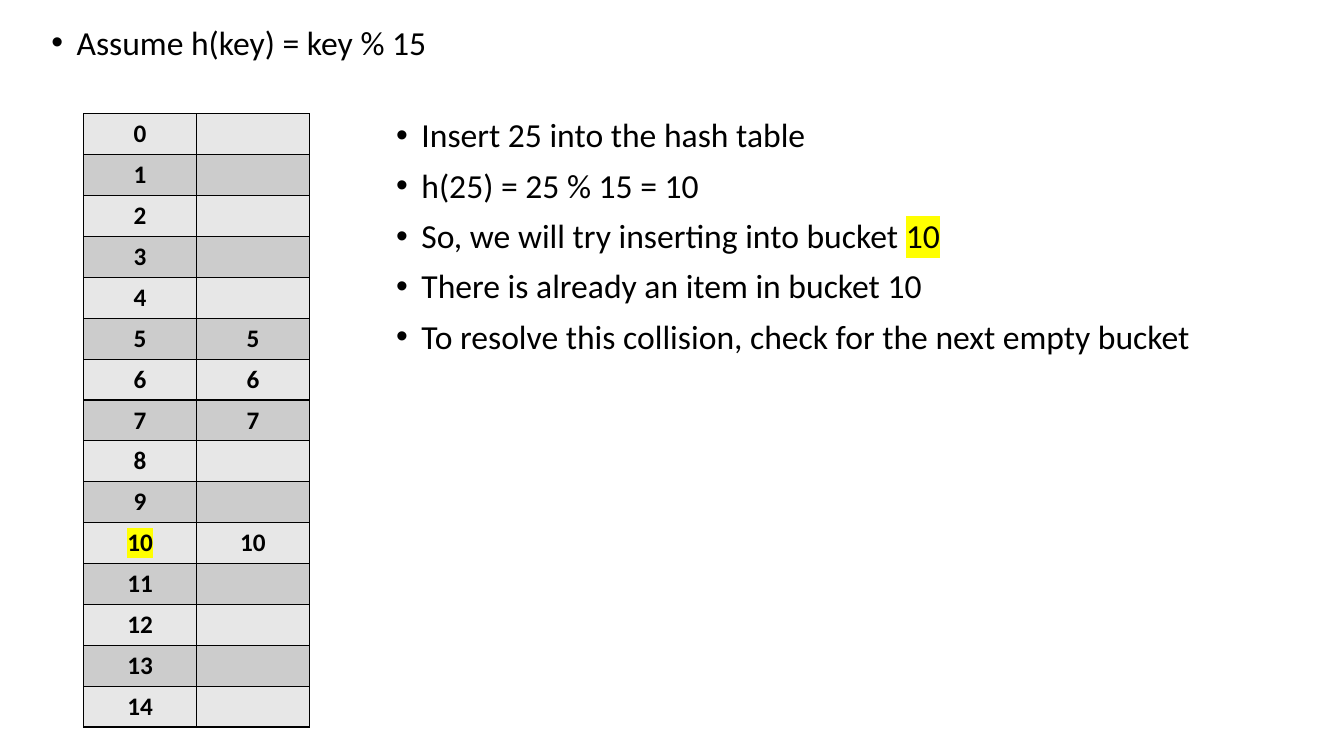
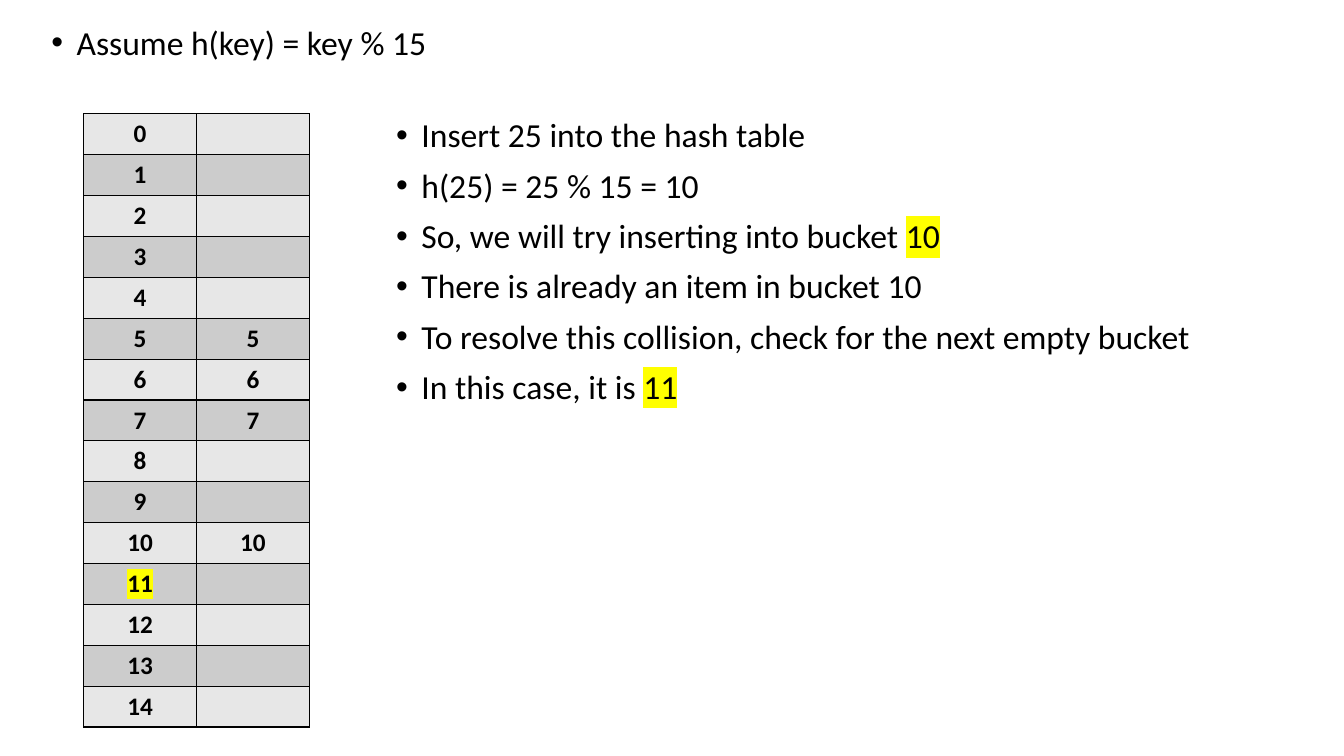
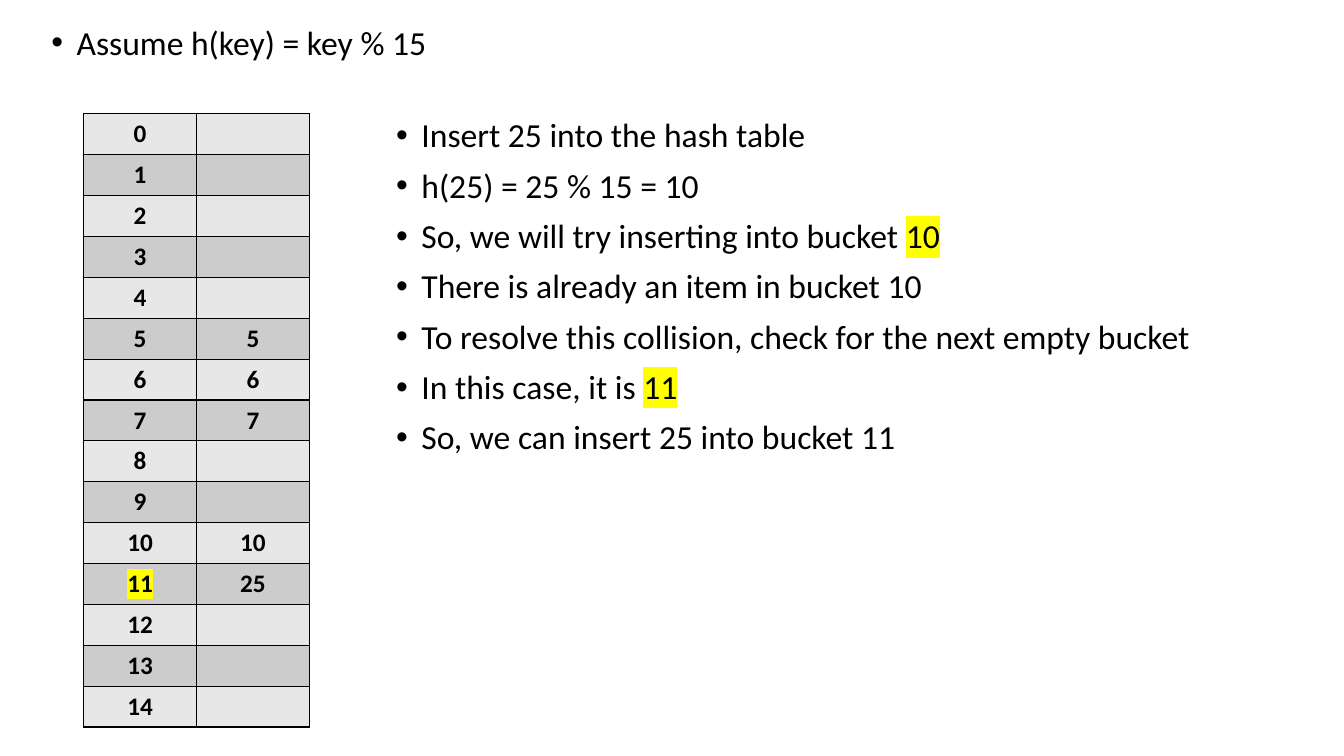
from lxml import etree
from pptx import Presentation, util as u
from pptx.dml.color import RGBColor
from pptx.enum import text
from pptx.oxml import ns

FONT, INK, MARK = "Calibri", "000000", "FFFF00"
BANDS = ("E7E7E7", "CCCCCC")
BUCKETS = 15
ASSUMPTION_BOX = (0.41, 0.21, 11.5, 0.76)
TABLE_BOX = (0.83, 1.13, 2.24, 6)
STEPS_BOX = (3.83, 1.13, 8.31, 5.32)

ASSUMPTION = [[("Assume h(key) = key % 15", False)]]
STEPS = [
    [("Insert 25 into the hash table", False)],
    [("h(25) = 25 % 15 = 10", False)],
    [("So, we will try inserting into bucket ", False), ("10", True)],
    [("There is already an item in bucket 10", False)],
    [("To resolve this collision, check for the next empty bucket", False)],
    [("In this case, it is ", False), ("11", True)],
    [("So, we can insert 25 into bucket 11", False)],
]
STORED = {5: 5, 6: 6, 7: 7, 10: 10}
STAGES = [(5, 10, STORED), (6, 11, STORED), (7, 11, {**STORED, 11: 25})]


def paint(color_format, value):
    """Set a colour format to a hex colour."""
    color_format.rgb = RGBColor.from_string(value)


def add_node(parent, tag, **attributes):
    """Append a drawing element to a parent and return it."""
    return etree.SubElement(parent, ns.qn(tag), attributes)


def inches(box):
    """Turn a box in inches into lengths."""
    return [u.Inches(side) for side in box]


def add_words(paragraph, words, size, bold=False, marked=False):
    """Add one run, highlighted when marked."""
    run = paragraph.add_run()
    run.text = words
    run.font.size, run.font.bold = u.Pt(size), bold
    paint(run.font.fill.solid() or run.font.color, INK)
    run.font.name = FONT
    if marked:
        properties = run.font._element
        highlight = add_node(properties, "a:highlight")
        add_node(highlight, "a:srgbClr", val=MARK)
        properties.find(ns.qn("a:latin")).addprevious(highlight)


def fill_list(placeholder, box, items):
    """Move a body placeholder to a box and write its bulleted items."""
    placeholder.left, placeholder.top, placeholder.width, placeholder.height = inches(box)
    frame = placeholder.text_frame
    frame.auto_size = text.MSO_AUTO_SIZE.NONE
    frame.vertical_anchor = text.MSO_ANCHOR.TOP
    for number, item in enumerate(items):
        paragraph = frame.add_paragraph() if number else frame.paragraphs[0]
        paragraph.line_spacing, paragraph.space_before = 0.9, u.Pt(10)
        properties = paragraph._p.get_or_add_pPr()
        properties.set("marL", str(u.Inches(0.25)))
        properties.set("indent", str(-u.Inches(0.25)))
        add_node(properties, "a:buFont", typeface="Arial")
        add_node(properties, "a:buChar", char="•")
        for words, marked in item:
            add_words(paragraph, words, 24, marked=marked)


def outline_cell(cell):
    """Draw a thin line along every side of a cell."""
    properties = cell._tc.get_or_add_tcPr()
    for order, side in enumerate(("lnL", "lnR", "lnT", "lnB")):
        line = add_node(properties, f"a:{side}", w=str(u.Pt(1)))
        add_node(add_node(line, "a:solidFill"), "a:srgbClr", val=INK)
        properties.insert(order, line)


def add_hash_table(slide, box, stored, marked_bucket):
    """Place the bucket numbers and their stored keys."""
    buckets = slide.shapes.add_table(BUCKETS, 2, *inches(box)).table
    buckets.first_row = buckets.horz_banding = False
    for bucket in range(BUCKETS):
        for column, key in enumerate((bucket, stored.get(bucket))):
            cell = buckets.cell(bucket, column)
            cell.fill.solid()
            paint(cell.fill.fore_color, BANDS[bucket % 2])
            outline_cell(cell)
            if key is not None:
                paragraph = cell.text_frame.paragraphs[0]
                paragraph.alignment = text.PP_ALIGN.CENTER
                marked = column == 0 and bucket == marked_bucket
                add_words(paragraph, str(key), 18, bold=True, marked=marked)


def add_stage(deck, step_count, marked_bucket, stored):
    """Build one slide of the insertion walkthrough."""
    slide = deck.slides.add_slide(deck.slide_layouts.get_by_name("Two Content"))
    title, assumption, steps = list(slide.placeholders)[:3]
    title._element.getparent().remove(title._element)
    fill_list(assumption, ASSUMPTION_BOX, ASSUMPTION)
    add_hash_table(slide, TABLE_BOX, stored, marked_bucket)
    fill_list(steps, STEPS_BOX, STEPS[:step_count])


def main():
    """Build and save the deck."""
    deck = Presentation()
    deck.slide_width, deck.slide_height = u.Inches(13.33), u.Inches(7.5)
    for stage in STAGES:
        add_stage(deck, *stage)
    deck.save("out.pptx")


if __name__ == "__main__":
    main()
